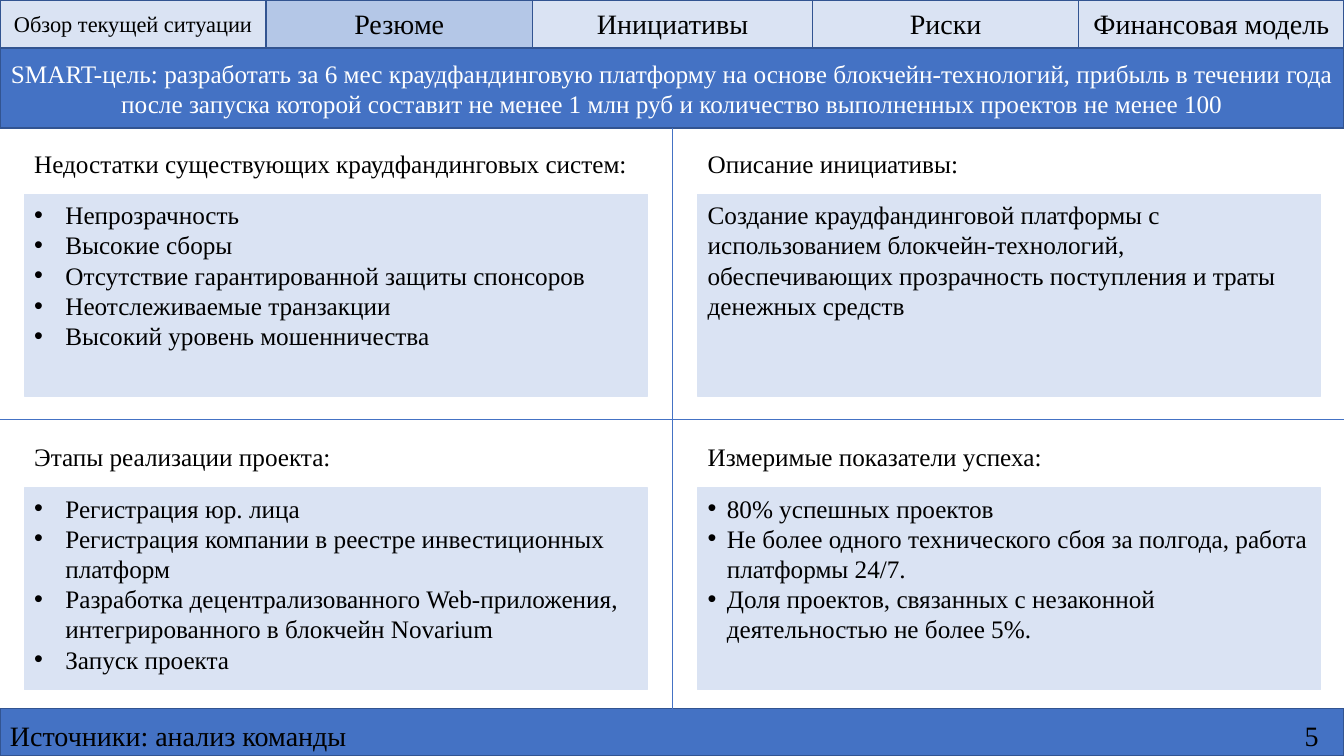
from pptx import Presentation
from pptx.util import Inches, Pt
from pptx.dml.color import RGBColor
from pptx.enum.shapes import MSO_CONNECTOR, MSO_SHAPE
from pptx.enum.text import MSO_ANCHOR, PP_ALIGN
from pptx.oxml.ns import qn
from lxml import etree

RECT, STRAIGHT = MSO_SHAPE.RECTANGLE, MSO_CONNECTOR.STRAIGHT
LEFT, CENTER = PP_ALIGN.LEFT, PP_ALIGN.CENTER
TOP, MIDDLE = MSO_ANCHOR.TOP, MSO_ANCHOR.MIDDLE

FONT = "Times New Roman"
COLORS = {"accent": "4472C4", "border": "325491", "pale": "DAE3F3",
          "active": "B4C7E7", "black": "000000", "white": "FFFFFF"}
WIDTH, HEIGHT = 13.33, 7.5
TAB_HEIGHT = 0.47
BANNER_TOP, BANNER_HEIGHT = 0.48, 0.79
FOOTER_TOP = 7.03

TABS = [("Обзор текущей ситуации", 2.64, 16), ("Резюме", 2.64, 20),
        ("Инициативы", 2.78, 20), ("Риски", 2.64, 20),
        ("Финансовая модель", 2.63, 20)]
ACTIVE_TAB = "Резюме"
GOAL = ("SMART-цель: разработать за 6 мес краудфандинговую платформу на основе "
        "блокчейн-технологий, прибыль в течении года после запуска которой составит "
        "не менее 1 млн руб и количество выполненных проектов не менее 100")

# Each quadrant: heading, paragraphs, bullet indent
QUADRANTS = [
    [("Недостатки существующих краудфандинговых систем:",
      ["Непрозрачность", "Высокие сборы",
       "Отсутствие гарантированной защиты спонсоров",
       "Неотслеживаемые транзакции", "Высокий уровень мошенничества"], 0.31),
     ("Описание инициативы:",
      ["Создание краудфандинговой платформы с использованием блокчейн-технологий, "
       "обеспечивающих прозрачность поступления и траты денежных средств"], 0)],
    [("Этапы реализации проекта:",
      ["Регистрация юр. лица",
       "Регистрация компании в реестре инвестиционных платформ",
       "Разработка децентрализованного Web-приложения, "
       "интегрированного в блокчейн Novarium",
       "Запуск проекта"], 0.31),
     ("Измеримые показатели успеха:",
      ["80% успешных проектов",
       "Не более одного технического сбоя за полгода, работа платформы 24/7.",
       "Доля проектов, связанных с незаконной деятельностью не более 5%."], 0.19)],
]
COLUMN_LEFTS = [0.24, 6.92]
ROW_TOPS = [1.42, 4.33]


def rgb(name):
    return RGBColor.from_string(COLORS[name])


def write(shape, paragraphs, size=18, color="black", align=LEFT, anchor=TOP, indent=0):
    frame = shape.text_frame
    frame.word_wrap = True
    frame.vertical_anchor = anchor
    frame.text = "\n".join(paragraphs)
    for paragraph in frame.paragraphs:
        paragraph.alignment = align
        font = paragraph.runs[0].font
        font.name, font.size, font.color.rgb = FONT, Pt(size), rgb(color)
        if indent:
            props = paragraph._p.get_or_add_pPr()
            props.set("marL", str(Inches(indent)))
            props.set("indent", str(-Inches(indent)))
            etree.SubElement(props, qn("a:buFont"), typeface="Arial")
            etree.SubElement(props, qn("a:buChar"), char="•")


def paint(shape, fill, border):
    shape.fill.solid()
    shape.fill.fore_color.rgb = rgb(fill)
    shape.line.color.rgb = rgb(border)
    shape.line.width = Pt(1)


def add_box(slide, left, top, width, height, fill, border="border"):
    box = slide.shapes.add_shape(RECT, *map(Inches, (left, top, width, height)))
    box.shadow.inherit = False
    paint(box, fill, border)
    return box


def add_label(slide, left, top, width, height, text, size=18):
    label = slide.shapes.add_textbox(*map(Inches, (left, top, width, height)))
    write(label, [text], size=size)


def add_divider(slide, *ends):
    divider = slide.shapes.add_connector(STRAIGHT, *map(Inches, ends))
    divider.line.color.rgb = rgb("accent")
    divider.line.width = Pt(0.5)
    etree.SubElement(divider._element.spPr, qn("a:effectLst"))
    return divider


def add_tabs(slide, left, top, height):
    for name, width, size in TABS:
        tab = add_box(slide, left, top, width, height,
                      "active" if name == ACTIVE_TAB else "pale")
        write(tab, [name], size=size, align=CENTER, anchor=MIDDLE)
        left += width


def add_goal_banner(slide, left, top, width, height):
    banner = slide.shapes.title
    banner.left, banner.top = Inches(left), Inches(top)
    banner.width, banner.height = Inches(width), Inches(height)
    paint(banner, "accent", "border")
    write(banner, [GOAL], color="white", align=CENTER, anchor=MIDDLE)
    return banner


def add_footer(slide, left, top, width, height):
    footer = add_box(slide, left, top, width, height, "accent")
    add_label(slide, left, top + 0.05, width - 0.91, 0.44, "Источники: анализ команды", 20)
    add_label(slide, left + width - 0.49, top + 0.05, 0.49, 0.44, "5", 20)
    return footer


def add_quadrant(slide, left, top, width, heading, paragraphs, indent):
    add_label(slide, left, top, width, 0.39, heading)
    panel = add_box(slide, left, top + 0.51, width, 2, "pale", "pale")
    write(panel, paragraphs, indent=indent)


def main():
    deck = Presentation()
    deck.slide_width, deck.slide_height = Inches(WIDTH), Inches(HEIGHT)
    slide = deck.slides.add_slide(deck.slide_layouts[5])

    # Goal, footer and navigation
    banner = add_goal_banner(slide, 0, BANNER_TOP, WIDTH, BANNER_HEIGHT)
    footer = add_footer(slide, 0, FOOTER_TOP, WIDTH, HEIGHT - FOOTER_TOP)
    add_tabs(slide, 0, 0, TAB_HEIGHT)

    # Cross of dividers
    vertical = add_divider(slide, WIDTH / 2, BANNER_TOP + BANNER_HEIGHT,
                           WIDTH / 2, FOOTER_TOP)
    vertical.begin_connect(banner, 2)
    vertical.end_connect(footer, 0)
    add_divider(slide, 0, 4.16, WIDTH, 4.16)

    # Four quadrants
    for top, row in zip(ROW_TOPS, QUADRANTS):
        for left, quadrant in zip(COLUMN_LEFTS, row):
            add_quadrant(slide, left, top, 6.18, *quadrant)

    deck.save("out.pptx")


if __name__ == "__main__":
    main()
